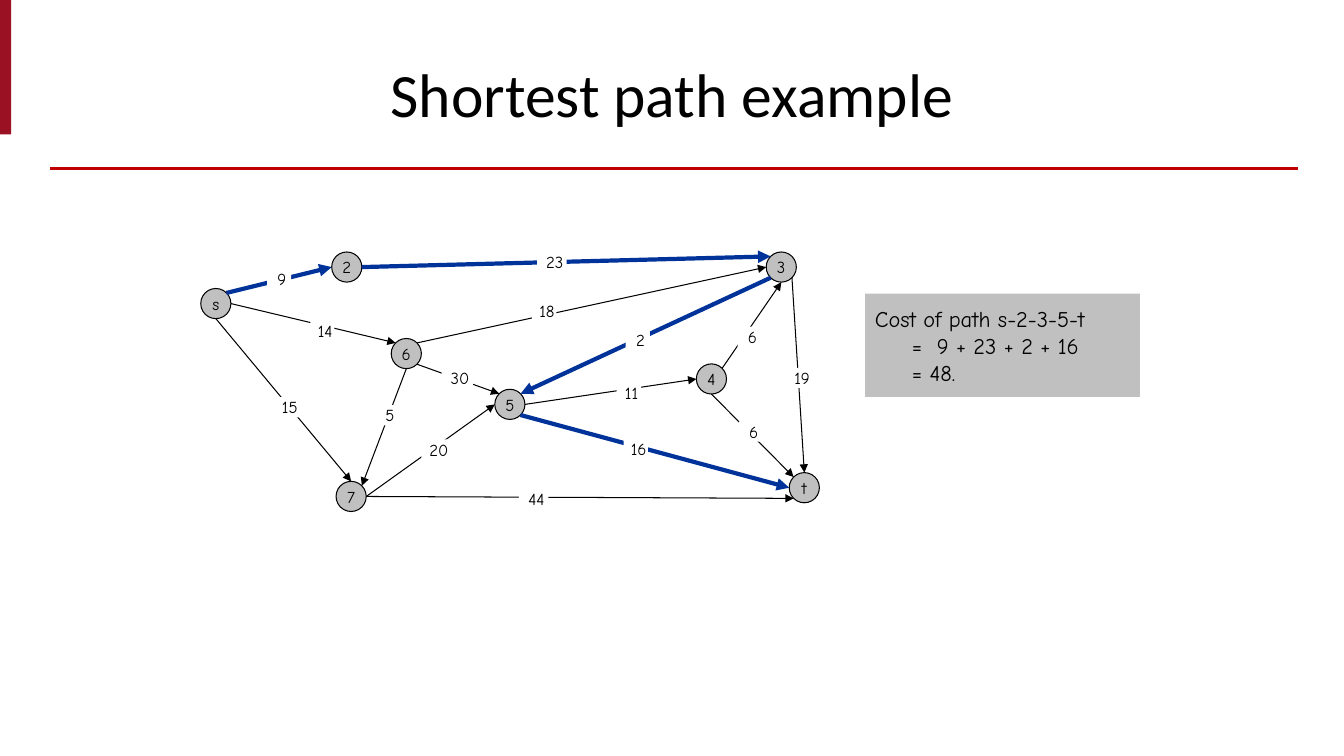
from math import cos, radians, sin
from typing import NamedTuple

from lxml.etree import SubElement
from pptx import Presentation
from pptx.dml.color import RGBColor
from pptx.enum.shapes import MSO_CONNECTOR, MSO_SHAPE
from pptx.enum.text import MSO_ANCHOR, PP_ALIGN
from pptx.oxml.ns import qn
from pptx.shapes.autoshape import Shape
from pptx.shapes.connector import Connector
from pptx.util import Cm, Pt

COLORS = {
    "black": "000000", "white": "FFFFFF", "gray": "C0C0C0",
    "blue": "003399", "red": "C00000", "crimson": "991122",
}
HAND = "Comic Neue"
RADIUS = 0.38
ANGLES = {"E": 0, "SE": 45, "S": 90, "SW": 135, "W": 180, "NW": 225, "N": 270, "NE": 315}


class Node(NamedTuple):
    """A vertex, by its centre in centimetres."""
    x: float
    y: float

    def site(self, side: str) -> tuple[float, float]:
        """Point of the circle on the given compass side."""
        turn = radians(ANGLES[side])
        return self.x + RADIUS * cos(turn), self.y + RADIUS * sin(turn)


class Edge(NamedTuple):
    """An arrow with its cost; left, top and width place the cost label."""
    start: str
    leave: str
    end: str
    enter: str
    cost: int
    left: float
    top: float
    width: float = 0.61


NODES = {
    "s": Node(5.44, 7.65),
    "3": Node(19.69, 6.73),
    "t": Node(20.27, 12.29),
    "2": Node(8.74, 6.73),
    "6": Node(10.24, 8.91),
    "7": Node(8.85, 12.51),
    "4": Node(17.93, 9.55),
    "5": Node(12.85, 10.19),
}
EDGES = [
    Edge("s", "NE", "2", "W", 9, 6.73, 6.78),
    Edge("s", "E", "6", "NW", 14, 7.82, 8.08),
    Edge("s", "S", "7", "N", 15, 6.93, 10.01),
    Edge("6", "NE", "3", "W", 18, 13.41, 7.59),
    Edge("4", "NE", "3", "S", 6, 18.59, 8.23),
    Edge("6", "SE", "5", "NW", 30, 11.13, 9.27, 0.79),
    Edge("5", "SE", "t", "W", 16, 15.72, 11.05),
    Edge("5", "E", "4", "W", 11, 15.54, 9.65),
    Edge("4", "S", "t", "NW", 6, 18.62, 10.62),
    Edge("3", "SW", "5", "NE", 2, 15.77, 8.31),
    Edge("6", "S", "7", "NE", 5, 9.45, 10.21),
    Edge("7", "E", "5", "W", 20, 10.62, 11.07, 0.74),
    Edge("2", "E", "3", "NW", 23, 13.54, 6.35, 0.74),
    Edge("7", "E", "t", "SW", 44, 13.08, 12.32, 0.74),
    Edge("3", "SE", "t", "N", 19, 19.84, 9.27),
]
PATH = "s235t"
STEPS = set(zip(PATH, PATH[1:]))

deck = Presentation()
deck.slide_width, deck.slide_height = Cm(33.87), Cm(19.05)
slide = deck.slides.add_slide(deck.slide_layouts[6])


def tint(name: str) -> RGBColor:
    return RGBColor.from_string(COLORS[name])


def add_form(kind: MSO_SHAPE, left: float, top: float, width: float, height: float,
             fill: str) -> Shape:
    """Filled shape without outline or shadow."""
    form = slide.shapes.add_shape(kind, Cm(left), Cm(top), Cm(width), Cm(height))
    form.shadow.inherit = False
    form.fill.solid()
    form.fill.fore_color.rgb = tint(fill)
    form.line.fill.background()
    return form


def add_line(start: tuple[float, float], end: tuple[float, float],
             color: str, weight: float) -> Connector:
    """Straight line without shadow."""
    line = slide.shapes.add_connector(
        MSO_CONNECTOR.STRAIGHT, *(Cm(length) for length in (*start, *end)))
    line.line.color.rgb = tint(color)
    line.line.width = Pt(weight)
    SubElement(line._element.spPr, qn("a:effectLst"))
    return line


def write(form: Shape, text: str, size: float, font: str = HAND,
          align: PP_ALIGN = PP_ALIGN.CENTER, wrap: bool = False) -> None:
    frame = form.text_frame
    frame.text = text
    frame.word_wrap = wrap
    frame.vertical_anchor = MSO_ANCHOR.MIDDLE
    for para in frame.paragraphs:
        para.alignment = align
        for run in para.runs:
            run.font.size = Pt(size)
            run.font.name = font
            run.font.color.rgb = tint("black")


def add_node(name: str, node: Node) -> None:
    disc = add_form(MSO_SHAPE.OVAL, node.x - RADIUS, node.y - RADIUS,
                    2 * RADIUS, 2 * RADIUS, "gray")
    disc.line.color.rgb = tint("black")
    disc.line.width = Pt(0.75)
    write(disc, name, 12)


def add_edge(edge: Edge) -> None:
    color, weight = ("blue", 3) if (edge.start, edge.end) in STEPS else ("black", 0.75)
    arrow = add_line(NODES[edge.start].site(edge.leave),
                     NODES[edge.end].site(edge.enter), color, weight)
    SubElement(arrow.line._get_or_add_ln(), qn("a:tailEnd"), type="triangle")


def add_cost(edge: Edge) -> None:
    label = add_form(MSO_SHAPE.RECTANGLE, edge.left, edge.top, edge.width, 0.51, "white")
    write(label, f" {edge.cost}", 12)
    frame = label.text_frame
    frame.vertical_anchor = MSO_ANCHOR.TOP
    frame.margin_left = frame.margin_right = frame.margin_top = frame.margin_bottom = 0


def add_sum() -> None:
    """Box that adds up the cost of the marked path."""
    box = add_form(MSO_SHAPE.RECTANGLE, 21.8, 7.4, 6.93, 2.6, "gray")
    write(box, "Cost of path s-2-3-5-t\n=\t9 + 23 + 2 + 16\n= 48.", 16,
          align=PP_ALIGN.LEFT, wrap=True)
    for para in box.text_frame.paragraphs[1:]:
        props = para._p.get_or_add_pPr()
        props.set("marL", str(Cm(1.56)))
        props.set("indent", str(Cm(-0.63)))


def main() -> None:
    add_line((1.27, 4.25), (32.7, 4.25), "red", 2)
    add_form(MSO_SHAPE.RECTANGLE, 0, 0, 0.28, 3.39, "crimson")
    title = slide.shapes.add_textbox(Cm(1.7), Cm(0.76), Cm(30.48), Cm(3.18))
    write(title, "Shortest path example", 44, "Calibri", wrap=True)
    add_sum()
    for name, node in NODES.items():
        add_node(name, node)
    for edge in EDGES:
        add_edge(edge)
    for edge in EDGES:
        add_cost(edge)
    deck.save("out.pptx")


if __name__ == "__main__":
    main()
